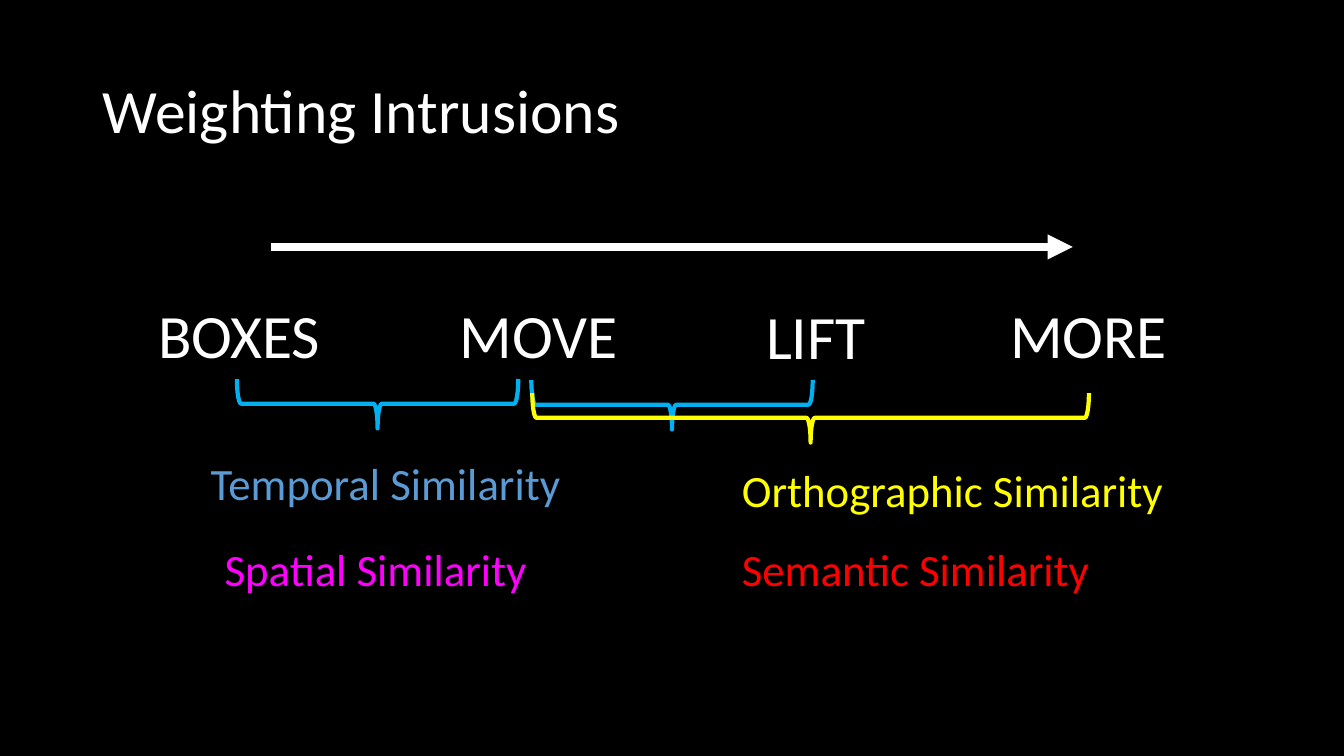
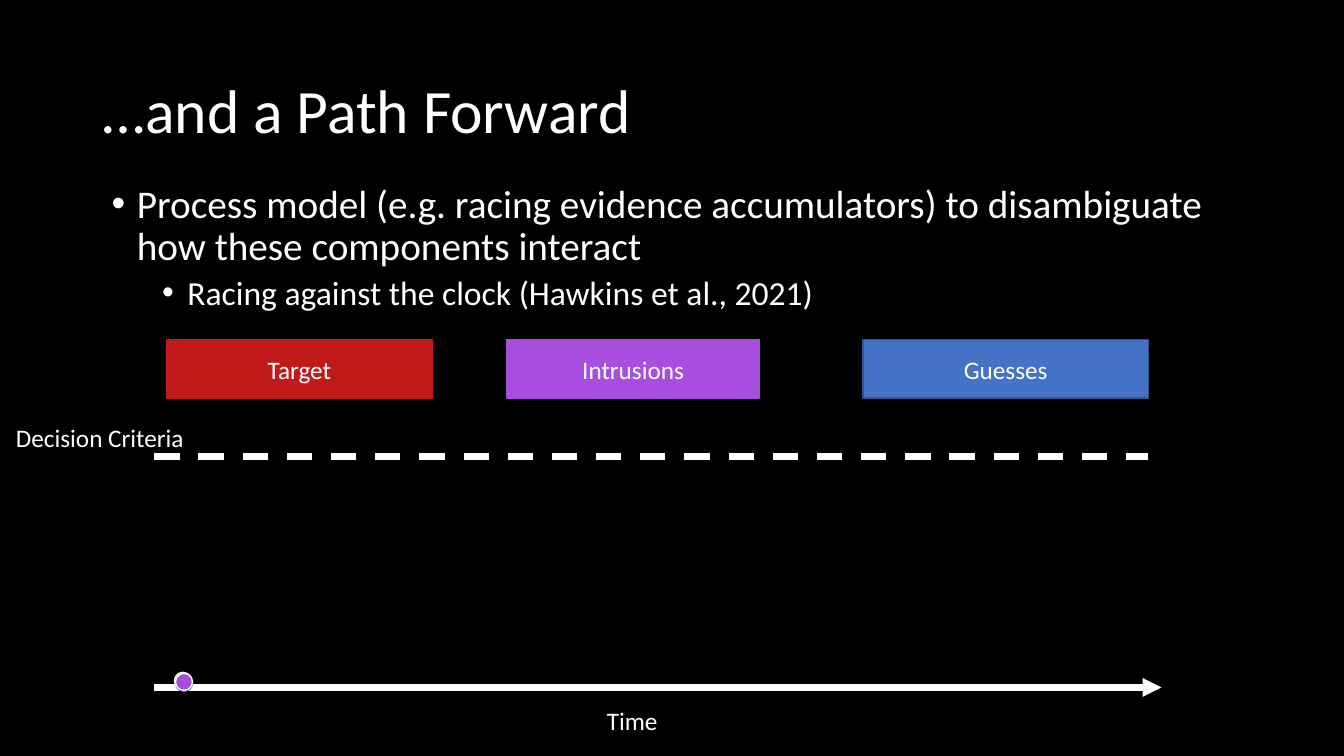
from pptx import Presentation
from pptx import util as u
from pptx.dml.color import RGBColor
from pptx.enum import dml, shapes, text
from pptx.oxml.ns import qn
from lxml import etree

FONT = "Calibri"
BLACK = RGBColor(0x00, 0x00, 0x00)
WHITE = RGBColor(0xFF, 0xFF, 0xFF)
CYAN = RGBColor(0x00, 0xB0, 0xF0)
SOFT_BLUE = RGBColor(0x5B, 0x9B, 0xD5)
YELLOW = RGBColor(0xFF, 0xFF, 0x00)
MAGENTA = RGBColor(0xFF, 0x00, 0xFF)
RED = RGBColor(0xFF, 0x00, 0x00)
DARK_RED = RGBColor(0xC1, 0x1A, 0x1A)
PURPLE = RGBColor(0xA7, 0x4E, 0xDF)
BLUE = RGBColor(0x44, 0x72, 0xC4)
DARK_BLUE = RGBColor(0x32, 0x54, 0x91)

BRACE_DEPTH = 0.49
DOT_SIZE = 0.17


def inches(*lengths):
    return [u.Inches(length) for length in lengths]


def format_text(para, size, color=WHITE):
    for span in para.runs:
        span.font.name = FONT
        span.font.size = u.Pt(size)
        span.font.color.rgb = color


def add_titled_slide(deck, title):
    page = deck.slides.add_slide(deck.slide_layouts[6])
    page.background.fill.solid()
    page.background.fill.fore_color.rgb = BLACK
    frame = page.shapes.add_textbox(*inches(0.92, 0.4, 11.5, 1.45)).text_frame
    frame.word_wrap = True
    frame.vertical_anchor = text.MSO_ANCHOR.MIDDLE
    frame.text = title
    frame.paragraphs[0].line_spacing = 0.9
    format_text(frame.paragraphs[0], 44)
    return page


def add_label(page, words, box, size, color=WHITE):
    frame = page.shapes.add_textbox(*inches(*box)).text_frame
    frame.word_wrap = False
    frame.auto_size = text.MSO_AUTO_SIZE.SHAPE_TO_FIT_TEXT
    frame.text = words
    format_text(frame.paragraphs[0], size, color)


def add_bullets(page, box, items):
    """Add bulleted paragraphs from (words, size, indent, space before)."""
    frame = page.shapes.add_textbox(*inches(*box)).text_frame
    frame.word_wrap = True
    for index, (words, size, indent, space) in enumerate(items):
        para = frame.add_paragraph() if index else frame.paragraphs[0]
        para.text = words
        para.level = index
        para.line_spacing = 0.9
        para.space_before = u.Pt(space)
        format_text(para, size)
        props = para._p.get_or_add_pPr()
        props.set("marL", str(u.Inches(indent)))
        props.set("indent", str(u.Inches(-0.25)))
        etree.SubElement(props, qn("a:buFont"), typeface="Arial")
        etree.SubElement(props, qn("a:buChar"), char="•")


def add_rule(page, left, right, y, weight, arrow=False, dashed=False):
    """Add a white horizontal line."""
    rule = page.shapes.add_connector(
        shapes.MSO_CONNECTOR.STRAIGHT, *inches(left, y, right, y))
    rule.line.color.rgb = WHITE
    rule.line.width = u.Pt(weight)
    if dashed:
        rule.line.dash_style = dml.MSO_LINE.DASH
    if arrow:
        etree.SubElement(rule.line._get_or_add_ln(), qn("a:tailEnd"), type="triangle")
    etree.SubElement(rule._element.spPr, qn("a:effectLst"))


def add_figure(page, kind, box, fill, outline, weight=1):
    figure = page.shapes.add_shape(kind, *inches(*box))
    figure.shadow.inherit = False
    if fill is None:
        figure.fill.background()
    else:
        figure.fill.solid()
        figure.fill.fore_color.rgb = fill
    figure.line.color.rgb = outline
    figure.line.width = u.Pt(weight)
    return figure


def add_brace(page, left, top, span, color):
    """Add a brace that opens upward; left, top and span are as seen."""
    box = (left + (span - BRACE_DEPTH) / 2, top + (BRACE_DEPTH - span) / 2,
           BRACE_DEPTH, span)
    brace = add_figure(page, shapes.MSO_SHAPE.LEFT_BRACE, box, None, color, 3)
    brace.rotation = 270


def add_racer(page, name, left, width, fill, outline):
    racer = add_figure(page, shapes.MSO_SHAPE.RECTANGLE,
                       (left, 3.37, width, 0.58), fill, outline)
    frame = racer.text_frame
    frame.vertical_anchor = text.MSO_ANCHOR.MIDDLE
    frame.text = name
    frame.paragraphs[0].alignment = text.PP_ALIGN.CENTER
    format_text(frame.paragraphs[0], 18)


def build_intrusions(deck):
    page = add_titled_slide(deck, "Weighting Intrusions")
    for word, left, top, width in (
            ("BOXES", 1.47, 2.9, 1.83), ("MOVE", 4.46, 2.9, 1.78),
            ("LIFT", 7.5, 2.91, 1.2), ("MORE", 9.92, 2.9, 1.77)):
        add_label(page, word, (left, top, width, 0.84), 44)
    add_rule(page, 2.69, 10.64, 2.45, 6, arrow=True)
    for left, top, span, color in (
            (2.35, 3.76, 2.79, CYAN), (5.27, 3.77, 2.79, CYAN),
            (5.28, 3.9, 5.52, YELLOW)):
        add_brace(page, left, top, span, color)
    for kind, left, top, width, color in (
            ("Temporal", 1.99, 4.47, 3.71, SOFT_BLUE),
            ("Orthographic", 7.26, 4.54, 4.43, YELLOW),
            ("Spatial", 2.13, 5.33, 3.24, MAGENTA),
            ("Semantic", 7.26, 5.33, 3.69, RED)):
        add_label(page, f"{kind} Similarity", (left, top, width, 0.64), 32, color)


def build_path_forward(deck):
    page = add_titled_slide(deck, "…and a Path Forward")
    add_bullets(page, (1.01, 1.78, 11.5, 4.76), (
        ("Process model (e.g. racing evidence accumulators) to disambiguate "
         "how these components interact", 28, 0.25, 10),
        ("Racing against the clock (Hawkins et al., 2021)", 24, 0.75, 5)))
    for name, left, width, fill, outline in (
            ("Target", 1.65, 2.64, DARK_RED, DARK_RED),
            ("Intrusions", 5.03, 2.5, PURPLE, PURPLE),
            ("Guesses", 8.56, 2.83, BLUE, DARK_BLUE)):
        add_racer(page, name, left, width, fill, outline)
    add_rule(page, 1.53, 11.39, 4.53, 4.5, dashed=True)
    add_label(page, "Decision Criteria", (0.06, 4.14, 1.88, 0.4), 18)
    add_rule(page, 1.53, 11.52, 6.82, 4.5, arrow=True)
    add_label(page, "Time", (5.92, 6.95, 0.71, 0.4), 18)
    for left, top, fill, outline in (
            (1.74, 6.69, BLUE, DARK_BLUE), (1.73, 6.67, DARK_RED, WHITE),
            (1.74, 6.68, PURPLE, WHITE)):
        add_figure(page, shapes.MSO_SHAPE.OVAL,
                   (left, top, DOT_SIZE, DOT_SIZE), fill, outline)


def main():
    deck = Presentation()
    deck.slide_width, deck.slide_height = inches(13.33, 7.5)
    build_intrusions(deck)
    build_path_forward(deck)
    deck.save("out.pptx")


if __name__ == "__main__":
    main()
